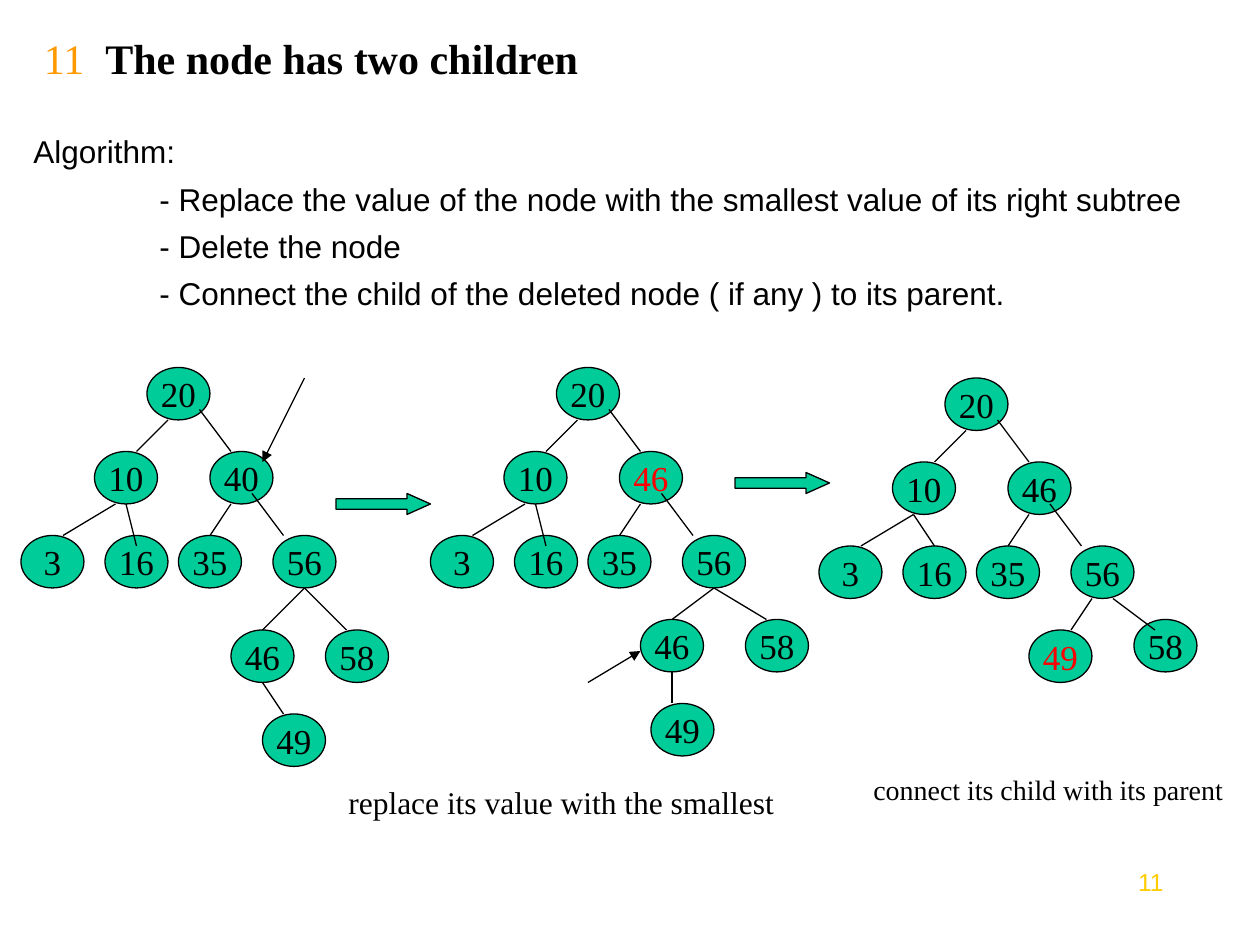
import pptx
import pptx.util
import pptx.dml.color
import pptx.enum.shapes
import pptx.enum.text
import pptx.oxml.ns
from lxml import etree

Pt = pptx.util.Pt
SHAPES = pptx.enum.shapes.MSO_SHAPE
ALIGN = pptx.enum.text.PP_ALIGN
ANCHOR = pptx.enum.text.MSO_ANCHOR
SERIF, SANS = "Times New Roman", "Arial"
GREEN, BLACK, RED = "00CC99", "000000", "FF0000"
NODE_W, NODE_H = 36, 30

TOP_NODES = [("10", 42, 48), ("3", 0, 96), ("16", 48, 96),
             ("35", 90, 96), ("56", 144, 96), ("20", 72, 0)]
TOP_EDGES = [(84, 30, 66, 48), (102, 24, 120, 48), (54, 78, 24, 96),
             (120, 78, 108, 96), (132, 72, 150, 96)]
TREES = [
    {"origin": (12, 210), "red": None,
     "nodes": [("40", 108, 48), ("46", 120, 150), ("58", 174, 150), ("49", 138, 198)],
     "edges": [(60, 78, 66, 102), (162, 126, 138, 150), (162, 126, 186, 150),
               (138, 180, 150, 198)],
     "pointer": (162, 6, 138, 54)},
    {"origin": (246, 210), "red": ("46", 108, 48),
     "nodes": [("46", 108, 48), ("46", 120, 144), ("58", 180, 144), ("49", 126, 192)],
     "edges": [(60, 78, 66, 102), (162, 126, 138, 144), (162, 126, 192, 144),
               (138, 174, 138, 192)],
     "pointer": (90, 180, 120, 162)},
    {"origin": (468, 216), "red": ("49", 120, 144),
     "nodes": [("46", 108, 48), ("49", 120, 144), ("58", 180, 138)],
     "edges": [(54, 78, 66, 96), (156, 126, 144, 144), (168, 126, 192, 144)],
     "pointer": None},
]


def rgb(color):
    """Turn a hex string into a colour."""
    return pptx.dml.color.RGBColor.from_string(color)


def add_run(p, text, size, font=SERIF, color=BLACK, bold=False):
    """Add one formatted run to a paragraph."""
    r = p.add_run()
    r.text = text
    r.font.size = Pt(size)
    r.font.name = font
    r.font.bold = bold
    r.font.color.rgb = rgb(color)


def add_box(s, x, y, w, h):
    """Add a wrapping text box and return its text frame."""
    tf = s.shapes.add_textbox(Pt(x), Pt(y), Pt(w), Pt(h)).text_frame
    tf.word_wrap = True
    return tf


def add_filled(s, kind, x, y, w, h):
    """Add a green shape with a thin black outline."""
    sp = s.shapes.add_shape(kind, Pt(x), Pt(y), Pt(w), Pt(h))
    sp.shadow.inherit = False
    sp.fill.solid()
    sp.fill.fore_color.rgb = rgb(GREEN)
    sp.line.color.rgb = rgb(BLACK)
    sp.line.width = Pt(0.75)
    return sp


def add_node(s, x, y, value, color):
    """Add a tree node holding its value."""
    tf = add_filled(s, SHAPES.OVAL, x, y, NODE_W, NODE_H).text_frame
    tf.word_wrap = False
    tf.vertical_anchor = ANCHOR.MIDDLE
    p = tf.paragraphs[0]
    p.alignment = ALIGN.CENTER
    add_run(p, value, 20, color=color)


def add_line(s, x1, y1, x2, y2, arrow=False):
    """Add a straight line, optionally with an arrowhead at its end."""
    c = s.shapes.add_connector(pptx.enum.shapes.MSO_CONNECTOR.STRAIGHT,
                               Pt(x1), Pt(y1), Pt(x2), Pt(y2))
    c.line.color.rgb = rgb(BLACK)
    c.line.width = Pt(0.75)
    qn = pptx.oxml.ns.qn
    if arrow:
        etree.SubElement(c.line._get_or_add_ln(), qn("a:tailEnd"), type="triangle")
    etree.SubElement(c._element.spPr, qn("a:effectLst"))


def add_tree(s, x, y, tree):
    """Draw a search tree with its top left corner at x, y."""
    for node in TOP_NODES + tree["nodes"]:
        value, dx, dy = node
        add_node(s, x + dx, y + dy, value, RED if node == tree["red"] else BLACK)
    for x1, y1, x2, y2 in TOP_EDGES + tree["edges"]:
        add_line(s, x + x1, y + y1, x + x2, y + y2)
    if tree["pointer"]:
        x1, y1, x2, y2 = tree["pointer"]
        add_line(s, x + x1, y + y1, x + x2, y + y2, arrow=True)


def add_title(s, x, y, w, h):
    """Add the numbered slide title."""
    tf = add_box(s, x, y, w, h)
    tf.vertical_anchor = ANCHOR.MIDDLE
    p = tf.paragraphs[0]
    add_run(p, "11  ", 24, color="FF9900")
    add_run(p, "The node has two children", 24, bold=True)


def add_algorithm(s, x, y, w, h):
    """Add the algorithm heading and its indented steps."""
    tf = add_box(s, x, y, w, h)
    add_run(tf.paragraphs[0], "Algorithm:", 18, SANS)
    for step in ("- Replace the value of the node with the smallest value of its right subtree",
                 "- Delete the node",
                 "- Connect the child of the deleted node ( if any ) to its parent."):
        p = tf.add_paragraph()
        p.space_before = Pt(5.5)
        p._p.get_or_add_pPr().set("marL", str(Pt(72)))
        add_run(p, step, 18, SANS)


def add_step_arrow(s, x, y, w, h):
    """Add a block arrow between two trees."""
    sp = add_filled(s, SHAPES.RIGHT_ARROW, x, y, w, h)
    sp.adjustments[1] = 1.12


def add_caption(s, x, y, w, h, text, size):
    """Add a caption under a tree."""
    add_run(add_box(s, x, y, w, h).paragraphs[0], text, size)


def add_slide_number(s, x, y, w, h):
    """Add the slide number."""
    p = add_box(s, x, y, w, h).paragraphs[0]
    p.alignment = ALIGN.RIGHT
    add_run(p, "11", 14, SANS, "FFCC00")


def main():
    """Build the slide and save it."""
    prs = pptx.Presentation()
    prs.slide_width, prs.slide_height = Pt(720), Pt(540)
    s = prs.slides.add_slide(prs.slide_layouts[6])
    add_slide_number(s, 624, 492, 48, 37.5)
    add_title(s, 18, 18, 612, 30)
    add_algorithm(s, 12, 72, 690, 107)
    add_caption(s, 192, 444, 276, 29, "replace its value with the smallest", 18)
    add_caption(s, 492, 438, 216, 27, "connect its child with its parent", 16)
    add_step_arrow(s, 192, 282, 54, 12)
    add_step_arrow(s, 420, 270, 54, 12)
    for tree in TREES:
        add_tree(s, *tree["origin"], tree)
    prs.save("out.pptx")


if __name__ == "__main__":
    main()
